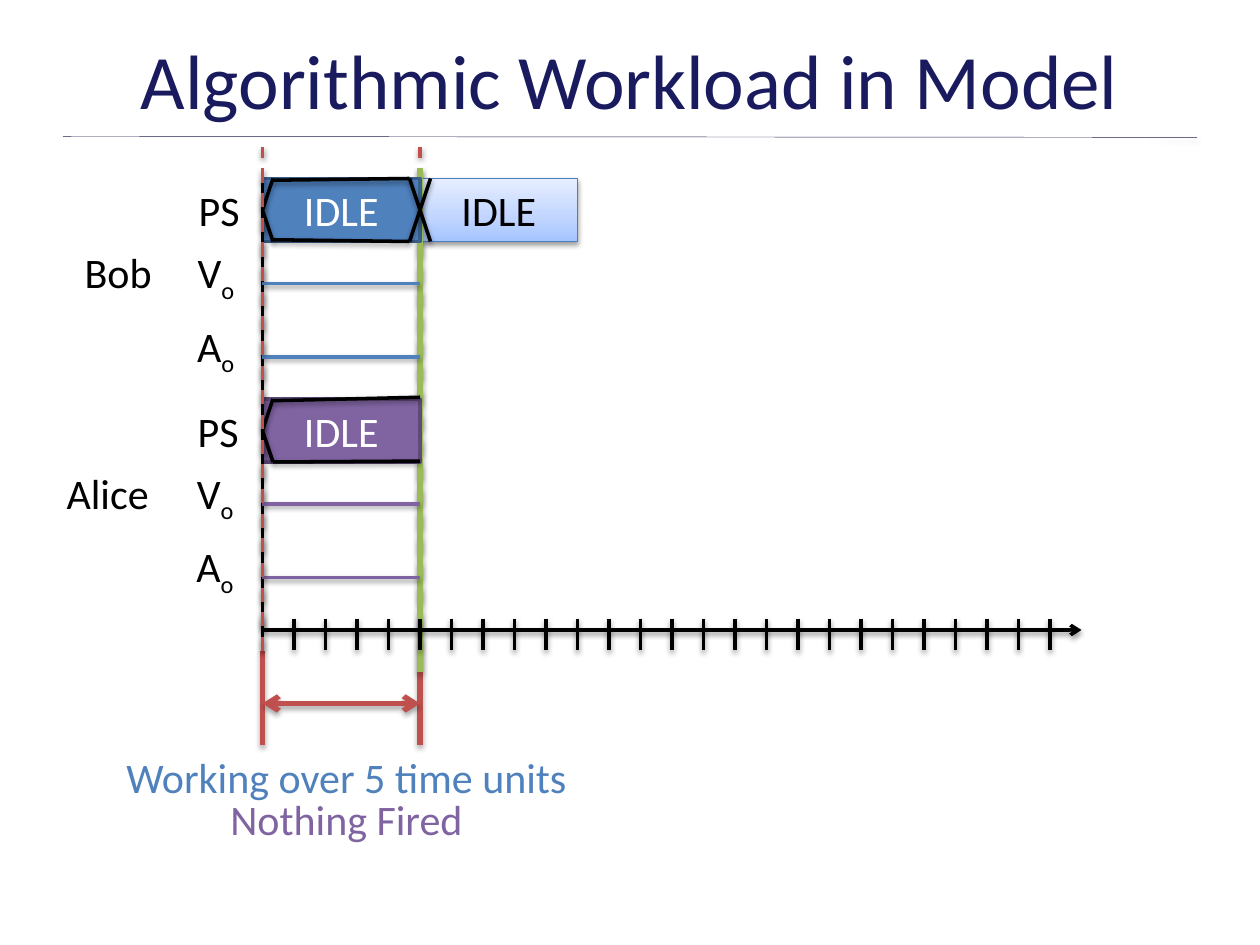
from copy import deepcopy
from dataclasses import dataclass

from lxml.etree import SubElement
from pptx import Presentation
from pptx.dml.color import RGBColor
from pptx.enum.dml import MSO_LINE
from pptx.enum.shapes import MSO_CONNECTOR, MSO_SHAPE
from pptx.enum.text import MSO_ANCHOR, PP_ALIGN
from pptx.oxml.ns import qn
from pptx.util import Pt


@dataclass(frozen=True)
class Theme:
    font: str = "Calibri"
    title_size: int = 44
    body_size: int = 24
    title: str = "191B5E"
    rule: str = "1A1C47"
    black: str = "000000"
    white: str = "FFFFFF"
    red: str = "C0504D"
    green: str = "9BBB59"
    blue: str = "4F81BD"
    blue_edge: str = "3A5F8C"
    purple: str = "8064A2"
    purple_edge: str = "5F4A78"
    next_edge: str = "4B7EBC"
    next_stops: tuple = ((0, "A4C4FF"), (0.35, "BFD4FF"), (1, "E6EEFF"))


THEME = Theme()
START, UNIT, TICKS = 150, 18, 26
NOW = START + 5 * UNIT
AXIS = 360
BOB, ALICE = 102, 228
STATE_HEIGHT, SLANT = 36, 6


def color(value):
    return RGBColor.from_string(value)


def cast_shadow(item, heavy=False):
    distance, opacity = (1.8, 35) if heavy else (1.6, 38)
    effects = SubElement(item._element.spPr, qn("a:effectLst"))
    shadow = SubElement(effects, qn("a:outerShdw"), blurRad=str(Pt(3.1)),
                        dist=str(Pt(distance)), dir="5400000", rotWithShape="0")
    tint = SubElement(shadow, qn("a:srgbClr"), val=THEME.black)
    SubElement(tint, qn("a:alpha"), val=str(opacity * 1000))


def write(frame, text, subscript="", size=THEME.body_size, ink=THEME.black,
          align=PP_ALIGN.CENTER, anchor=MSO_ANCHOR.TOP):
    frame.word_wrap = True
    frame.vertical_anchor = anchor
    para = frame.paragraphs[0]
    para.alignment = align
    for part in filter(None, (text, subscript)):
        span = para.add_run()
        span.text = part
        span.font.name = THEME.font
        span.font.size = Pt(size)
        span.font.color.rgb = color(ink)
    if subscript:
        span.font._element.set("baseline", "-25000")


def add_label(page, left, top, width, height, text, **style):
    box = page.shapes.add_textbox(Pt(left), Pt(top), Pt(width), Pt(height))
    write(box.text_frame, text, **style)


def add_line(page, begin, end, ink=THEME.black, width=2, dashed=False, arrows=(), joined=None):
    line = page.shapes.add_connector(MSO_CONNECTOR.STRAIGHT, *map(Pt, begin + end))
    if joined:
        line.begin_connect(joined, 1)
    line.line.color.rgb = color(ink)
    line.line.width = Pt(width)
    if dashed:
        line.line.dash_style = MSO_LINE.DASH
    for arrow in arrows:
        SubElement(line.line._get_or_add_ln(), qn(f"a:{arrow}"), type="arrow")
    cast_shadow(line, heavy=width == 3)


def add_state(page, left, top, edge, edge_width=2, ink=THEME.white, fill=None):
    box = page.shapes.add_shape(MSO_SHAPE.RECTANGLE, Pt(left), Pt(top),
                                Pt(NOW - START), Pt(STATE_HEIGHT))
    box.shadow.inherit = False
    if fill:
        box.fill.solid()
        box.fill.fore_color.rgb = color(fill)
    box.line.color.rgb = color(edge)
    box.line.width = Pt(edge_width)
    write(box.text_frame, "IDLE", ink=ink, anchor=MSO_ANCHOR.MIDDLE)
    return box


def add_next_state(page):
    box = add_state(page, NOW, BOB, THEME.next_edge, 0.75, THEME.black)
    box.fill.gradient()
    box.fill.gradient_angle = 90
    stops = box._element.spPr.find(".//" + qn("a:gsLst"))
    stops.append(deepcopy(stops[0]))
    for stop, (position, tint) in zip(box.fill.gradient_stops, THEME.next_stops):
        stop.position = position
        stop.color.rgb = color(tint)
    box._element.spPr.remove(box._element.spPr.find(qn("a:effectLst")))
    cast_shadow(box)


def add_signals(page, name, name_left, label_left, top, ink):
    add_label(page, name_left, top + 35.5, 63, 36, name)
    rows = (("PS", "", 3, 0), ("V", "o", 0, 35.5), ("A", "o", 0, 77.5))
    for text, subscript, shift, drop in rows:
        add_label(page, label_left + shift, top + drop, 41, 36, text,
                  subscript=subscript, align=PP_ALIGN.RIGHT)
    for drop in (60, 102):
        add_line(page, (START, top + drop), (NOW, top + drop), ink)


def add_outline(page, box, top, upper, lower, right):
    corner = START + SLANT
    add_line(page, (corner, upper[0]), (right, upper[1]))
    add_line(page, (corner, lower[0]), (right, lower[1]))
    for edge in (top, top + STATE_HEIGHT):
        add_line(page, (START, top + STATE_HEIGHT / 2), (corner, edge), joined=box)


def add_ticks(page):
    for index in range(TICKS):
        across = START + index * UNIT
        add_line(page, (across, 353.5), (across, 371.5))


def add_captions(page):
    add_label(page, 48, 426, 300, 36, "Working over 5 time units", ink=THEME.blue)
    add_label(page, 48, 450, 300, 36, "Nothing Fired", ink=THEME.purple)


def main():
    deck = Presentation()
    deck.slide_width, deck.slide_height = Pt(720), Pt(540)
    page = deck.slides.add_slide(deck.slide_layouts[6])

    add_line(page, (36, 78), (684, 78.5), THEME.rule, 0.25)
    add_line(page, (NOW, 372), (NOW, 84), THEME.red, dashed=True)
    add_label(page, 36, 12, 648, 66, "Algorithmic Workload in Model",
              size=THEME.title_size, ink=THEME.title, anchor=MSO_ANCHOR.MIDDLE)
    for across in (START, NOW):
        add_line(page, (across, 372), (across, 426), THEME.red, 3)
    add_captions(page)

    add_next_state(page)
    add_line(page, (NOW, 384), (NOW, 96), THEME.green, 3)
    alice = add_state(page, START, ALICE, THEME.purple_edge, fill=THEME.purple)
    bob = add_state(page, START, BOB, THEME.blue_edge, fill=THEME.blue)
    add_line(page, (START, AXIS), (618, AXIS), arrows=("tailEnd",))
    add_line(page, (START, AXIS), (START, BOB))

    add_signals(page, "Alice", 30, 99.5, ALICE, THEME.purple)
    add_signals(page, "Bob", 36, 100, BOB, THEME.blue)
    add_ticks(page)
    add_outline(page, bob, BOB, (103, 102), (137, 138), NOW - SLANT)
    add_outline(page, alice, ALICE, (229, 227), (264, 263.5), NOW)
    add_line(page, (NOW - SLANT, BOB), (NOW + SLANT, BOB + STATE_HEIGHT))
    add_line(page, (NOW - SLANT, BOB + STATE_HEIGHT), (NOW + SLANT, BOB))

    add_line(page, (START, 402), (NOW, 402), THEME.red, 3, arrows=("headEnd", "tailEnd"))
    add_line(page, (START, 372), (START, 84), THEME.red, dashed=True)
    deck.save("out.pptx")


if __name__ == "__main__":
    main()
